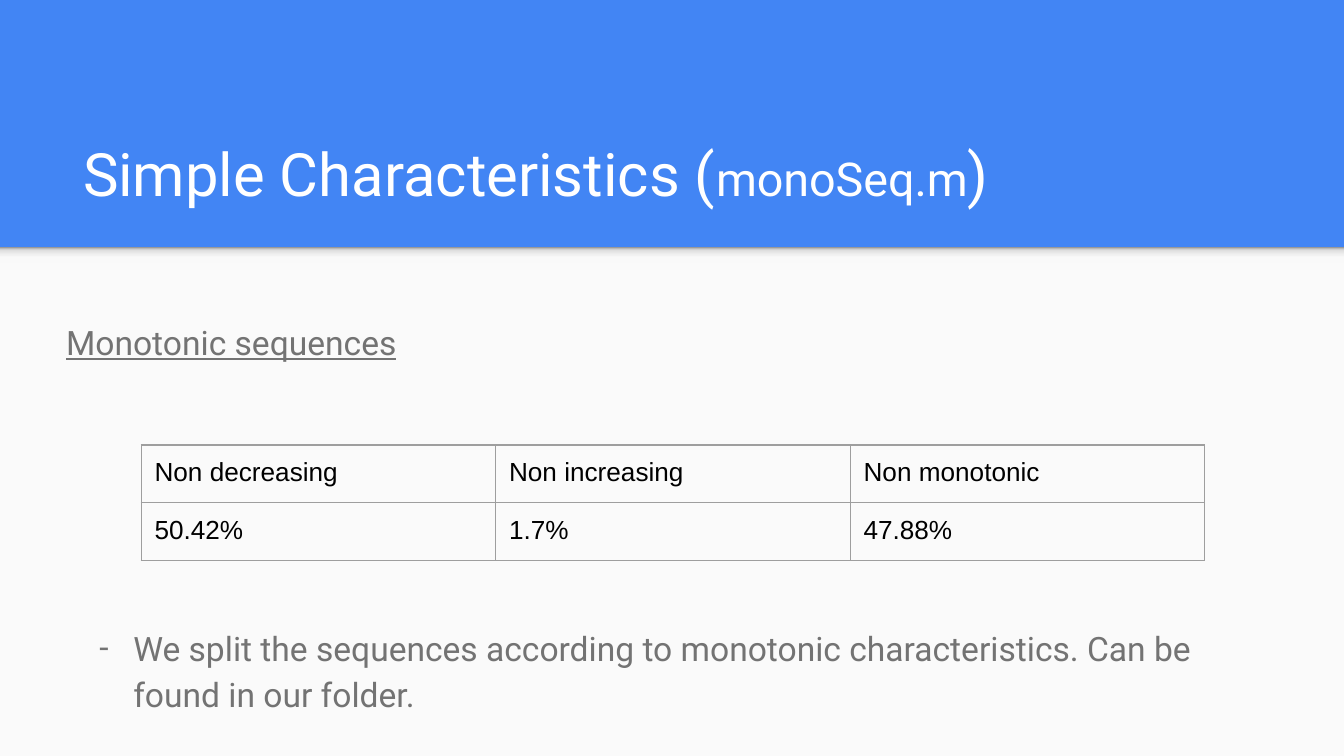
"""Build the slide on monotonic sequences with its small table."""
from lxml.etree import SubElement
from pptx import Presentation
from pptx.dml.color import RGBColor
from pptx.enum.shapes import MSO_SHAPE
from pptx.enum.text import MSO_ANCHOR
from pptx.oxml import parse_xml
from pptx.oxml.ns import nsdecls, qn
from pptx.util import Cm, Pt

THEME = {
    "blue": "4285F4", "paper": "FAFAFA", "white": "FFFFFF", "gray": "737373",
    "black": "000000", "rule": "9E9E9E",
    "fade": [(0, "F9F9F9"), (36, "F9F9F9"), (80, "DEDEDE"), (100, "999999")],
    "title": Pt(32), "file": Pt(25), "body": Pt(18), "cell": Pt(14),
    "head": "Roboto", "grid": "Arial",
}
INSET = Cm(0.25)
PAD = {"margin_left": INSET, "margin_right": INSET,
       "margin_top": INSET, "margin_bottom": INSET}


def put(item, values):
    """Set each named value on the item."""
    for name, value in values.items():
        setattr(item, name, value)


def write(para, text, size, color, face, **more):
    """Add one styled run to a paragraph."""
    run = para.add_run()
    run.text = text
    put(run.font, {"size": THEME[size], "name": THEME[face], **more})
    run.font.color.rgb = RGBColor.from_string(THEME[color])


deck = Presentation()
put(deck, {"slide_width": Cm(25.4), "slide_height": Cm(14.29)})
slide = deck.slides.add_slide(deck.slide_layouts[6])
back = slide.background.fill
back.solid()
back.fore_color.rgb = RGBColor.from_string(THEME["blue"])

top = Cm(4.67)
panel, shade = [
    slide.shapes.add_shape(MSO_SHAPE.RECTANGLE, 0, top, deck.slide_width, high)
    for high in (deck.slide_height - top, Cm(0.3))
]
for shape in (panel, shade):
    shape.shadow.inherit = False
    shape.line.fill.background()
panel.fill.solid()
panel.fill.fore_color.rgb = RGBColor.from_string(THEME["paper"])
stops = "".join(
    f'<a:gs pos="{spot * 1000}"><a:srgbClr val="{color}"/></a:gs>'
    for spot, color in THEME["fade"]
)
shade.fill.background()
blank = shade._element.spPr.find(qn("a:noFill"))
blank.getparent().replace(blank, parse_xml(
    f'<a:gradFill {nsdecls("a")}><a:gsLst>{stops}</a:gsLst>'
    '<a:lin ang="16200000" scaled="0"/></a:gradFill>'
))

title = slide.shapes.add_textbox(Cm(1.32), Cm(2.06), Cm(22.83), Cm(2.13)).text_frame
body = slide.shapes.add_textbox(Cm(1), Cm(5.72), Cm(22.83), Cm(7.52)).text_frame
for frame, anchor in ((title, MSO_ANCHOR.BOTTOM), (body, MSO_ANCHOR.TOP)):
    put(frame, {"word_wrap": True, "vertical_anchor": anchor, **PAD})

for text, size in (("Simple Characteristics (", "title"), ("monoSeq.m", "file"),
                   (")", "title")):
    write(title.paragraphs[0], text, size, "white", "head")

label, note = body.paragraphs[0], body.add_paragraph()
for para, gap in ((label, 0), (note, 123)):
    put(para, {"line_spacing": 1.15, "space_before": Pt(gap), "space_after": Pt(16)})
write(label, "Monotonic sequences", "body", "gray", "head", underline=True)
write(note, "We split the sequences according to monotonic characteristics. "
      "Can be found in our folder.", "body", "gray", "head")
props = note._p.get_or_add_pPr()
props.set("marL", str(Cm(1.27)))
props.set("indent", str(-Cm(0.64)))
tint = SubElement(props, qn("a:buClr"))
SubElement(tint, qn("a:srgbClr"), val=THEME["gray"])
SubElement(props, qn("a:buFont"), typeface=THEME["head"])
SubElement(props, qn("a:buChar"), char="-")

data = [("Non decreasing", "Non increasing", "Non monotonic"),
        ("50.42%", "1.7%", "47.88%")]
wide, high = Cm(6.7), Cm(1.06)
table = slide.shapes.add_table(
    len(data), len(data[0]), Cm(2.67), Cm(8.41),
    wide * len(data[0]), high * len(data)
).table
put(table, {"first_row": False, "horz_banding": False})
for column in table.columns:
    column.width = wide
for row, texts in zip(table.rows, data):
    row.height = high
    for cell, text in zip(row.cells, texts):
        put(cell, PAD)
        cell.fill.background()
        write(cell.text_frame.paragraphs[0], text, "cell", "black", "grid")
        for place, side in enumerate("LRTB"):
            cell._tc.get_or_add_tcPr().insert(place, parse_xml(
                f'<a:ln{side} {nsdecls("a")} w="{Pt(0.75)}"><a:solidFill>'
                f'<a:srgbClr val="{THEME["rule"]}"/></a:solidFill></a:ln{side}>'
            ))

deck.save("out.pptx")
